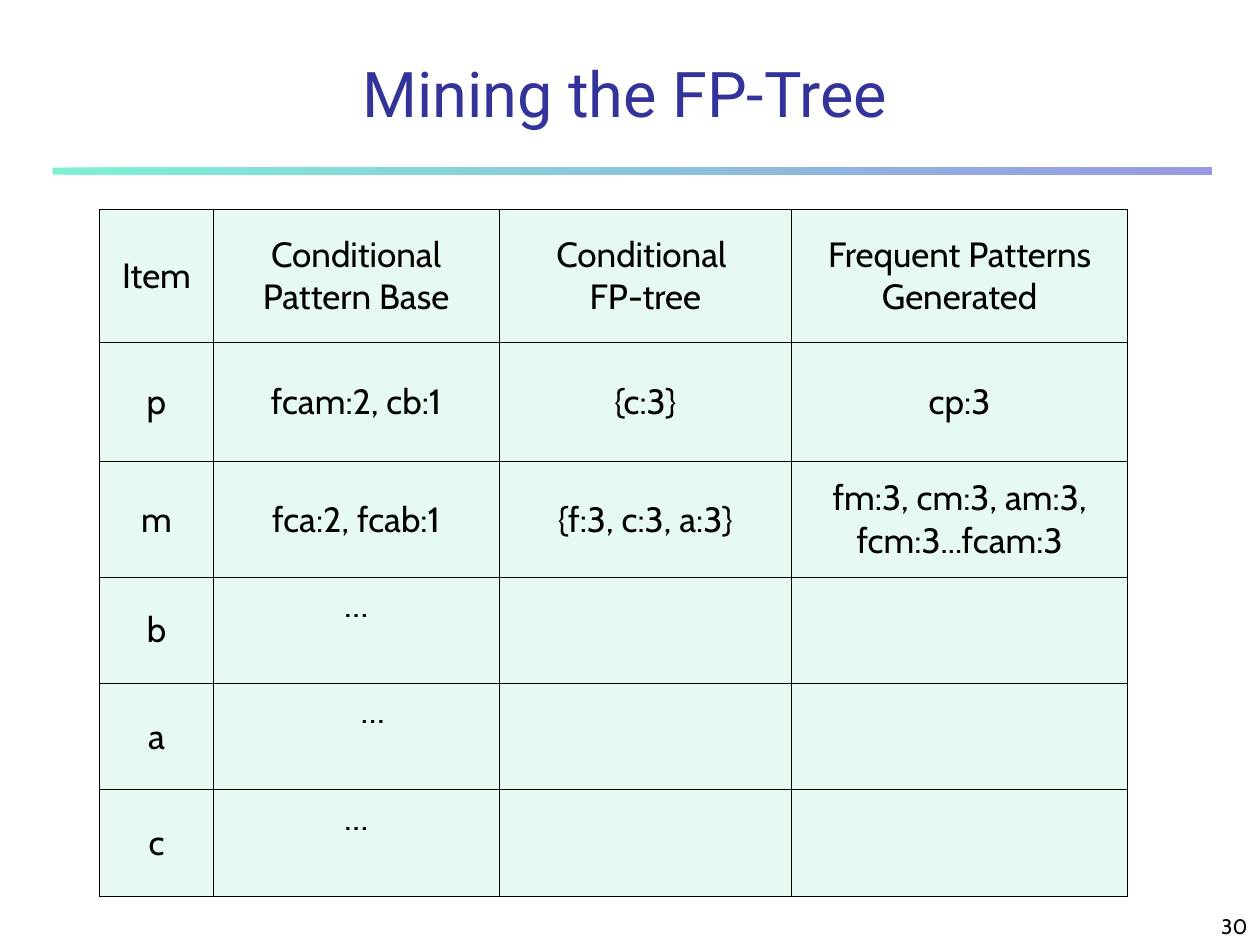
from lxml.etree import SubElement
from pptx import Presentation
from pptx.dml.color import RGBColor
from pptx.enum.shapes import MSO_SHAPE
from pptx.enum.text import MSO_ANCHOR, PP_ALIGN
from pptx.oxml.ns import qn
from pptx.util import Cm, Pt

BLACK = RGBColor(0x00, 0x00, 0x00)
INDIGO = RGBColor(0x33, 0x33, 0x99)
MINT = RGBColor(0xE7, 0xFA, 0xF1)
RULE_START = RGBColor(0x00, 0xE4, 0xA8)
RULE_END = RGBColor(0x33, 0x33, 0xCC)
TITLE_FONT = "Roboto"
BODY_FONT = "Cabin"

ELLIPSIS = "…"
COLUMN_WIDTHS = [2.29, 5.76, 5.9, 6.77]
ROW_HEIGHTS = [2.67, 2.41, 2.33, 2.14, 2.14, 2.14]
ROWS = [
    ["Item", "Conditional Pattern Base", "Conditional \nFP-tree", "Frequent Patterns Generated"],
    ["p", "fcam:2, cb:1", "{c:3}", "cp:3"],
    ["m", "fca:2, fcab:1", "{f:3, c:3, a:3}", "fm:3, cm:3, am:3, fcm:3...fcam:3"],
    ["b", ELLIPSIS, "", ""],
    ["a", ELLIPSIS, "", ""],
    ["c", ELLIPSIS, "", ""],
]
INDENTED_ITEM = "a"


def format_text(text_frame, font_name, size, color, alignment):
    for paragraph in text_frame.paragraphs:
        paragraph.alignment = alignment
        for run in paragraph.runs:
            run.font.name = font_name
            run.font.size = Pt(size)
            run.font.color.rgb = color


def place(shape, left, top, width, height):
    shape.left, shape.top = Cm(left), Cm(top)
    shape.width, shape.height = Cm(width), Cm(height)


def add_title(slide, left, top, width, height):
    title = slide.shapes.title
    place(title, left, top, width, height)
    title.text_frame.text = "Mining the FP-Tree"
    title.text_frame.vertical_anchor = MSO_ANCHOR.BOTTOM
    format_text(title.text_frame, TITLE_FONT, 36, INDIGO, PP_ALIGN.CENTER)


def add_rule(slide, left, top, width, height):
    rule = slide.shapes.add_shape(
        MSO_SHAPE.RECTANGLE, Cm(left), Cm(top), Cm(width), Cm(height)
    )
    rule.shadow.inherit = False
    rule.line.fill.background()
    rule.fill.gradient()
    rule.fill.gradient_angle = 0
    for stop, color in zip(rule.fill.gradient_stops, (RULE_START, RULE_END)):
        stop.color.rgb = color
    for color_element in rule.element.spPr.iter(qn("a:srgbClr")):
        SubElement(color_element, qn("a:alpha"), val="50000")


def add_borders(cell):
    properties = cell._tc.get_or_add_tcPr()
    for side in ("a:lnL", "a:lnR", "a:lnT", "a:lnB"):
        line = SubElement(properties, qn(side), w=str(Pt(0.45)))
        fill = SubElement(line, qn("a:solidFill"))
        SubElement(fill, qn("a:srgbClr"), val=str(BLACK))


def fill_cell(cell, text):
    add_borders(cell)
    cell.fill.solid()
    cell.fill.fore_color.rgb = MINT
    cell.margin_left = cell.margin_right = Cm(0.03)
    cell.margin_top = cell.margin_bottom = Cm(0.13)
    cell.vertical_anchor = MSO_ANCHOR.TOP if text == ELLIPSIS else MSO_ANCHOR.MIDDLE
    cell.text_frame.text = text
    format_text(cell.text_frame, BODY_FONT, 20, BLACK, PP_ALIGN.CENTER)


def add_pattern_table(slide, left, top):
    table = slide.shapes.add_table(
        len(ROWS), len(COLUMN_WIDTHS), Cm(left), Cm(top),
        Cm(sum(COLUMN_WIDTHS)), Cm(sum(ROW_HEIGHTS)),
    ).table
    table.first_row = False
    table.horz_banding = False
    for column, width in zip(table.columns, COLUMN_WIDTHS):
        column.width = Cm(width)
    for row, height, texts in zip(table.rows, ROW_HEIGHTS, ROWS):
        row.height = Cm(height)
        for cell, text in zip(row.cells, texts):
            fill_cell(cell, text)
        if texts[0] == INDENTED_ITEM:
            row.cells[1].margin_left = Cm(0.7)


def add_page_number(slide, left, top, width, height):
    box = slide.shapes.add_textbox(Cm(left), Cm(top), Cm(width), Cm(height))
    box.text_frame.word_wrap = True
    box.text_frame.vertical_anchor = MSO_ANCHOR.BOTTOM
    box.text_frame.text = "30"
    format_text(box.text_frame, BODY_FONT, 12, BLACK, PP_ALIGN.RIGHT)


def main():
    presentation = Presentation()
    presentation.slide_width = Cm(25.4)
    presentation.slide_height = Cm(19.05)
    slide = presentation.slides.add_slide(presentation.slide_layouts[5])
    add_rule(slide, 1.06, 3.38, 23.37, 0.14)
    add_title(slide, 1.06, 1.06, 23.07, 1.7)
    add_pattern_table(slide, 2.01, 4.23)
    add_page_number(slide, 20.11, 17.99, 5.29, 1.06)
    presentation.save("out.pptx")


if __name__ == "__main__":
    main()
